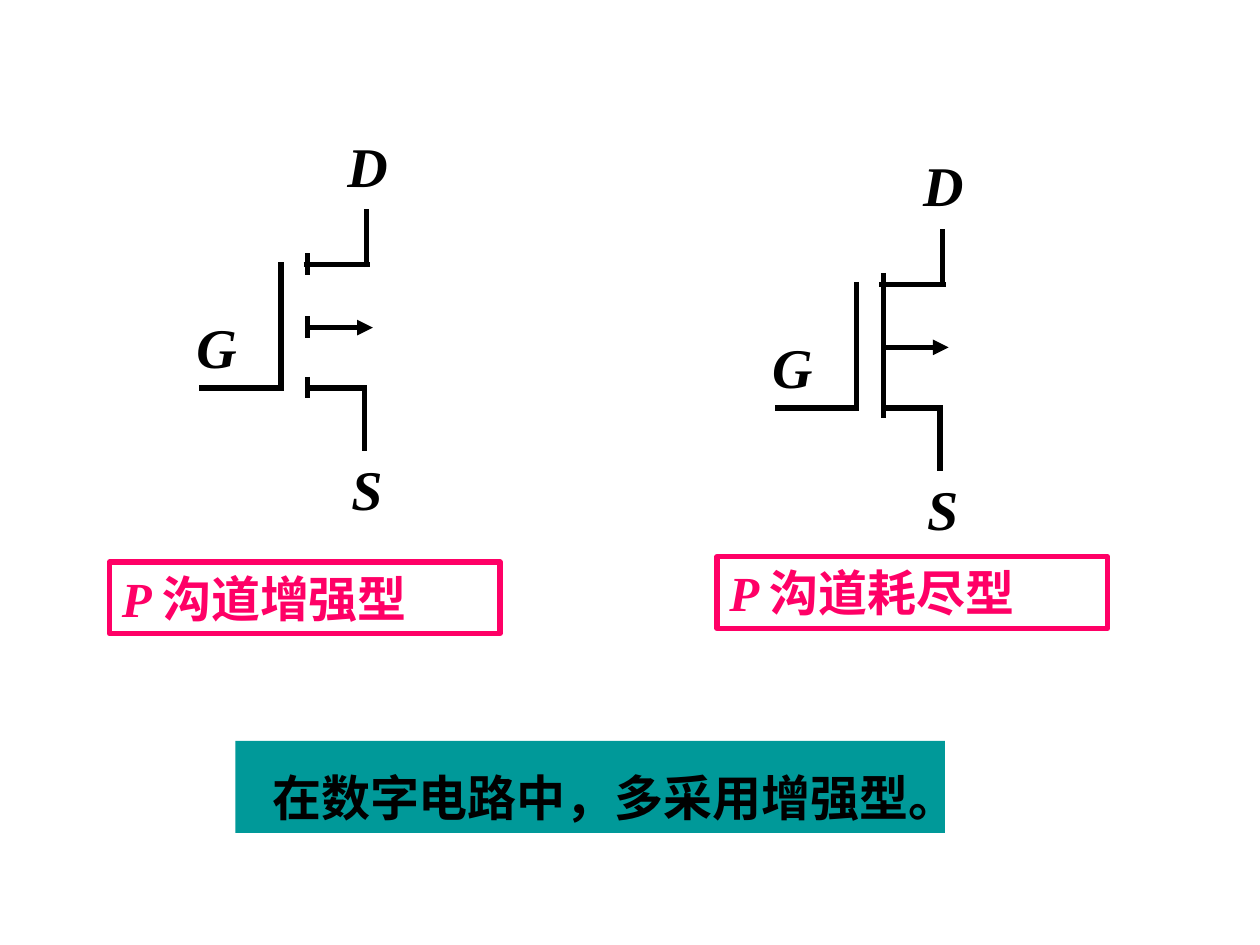
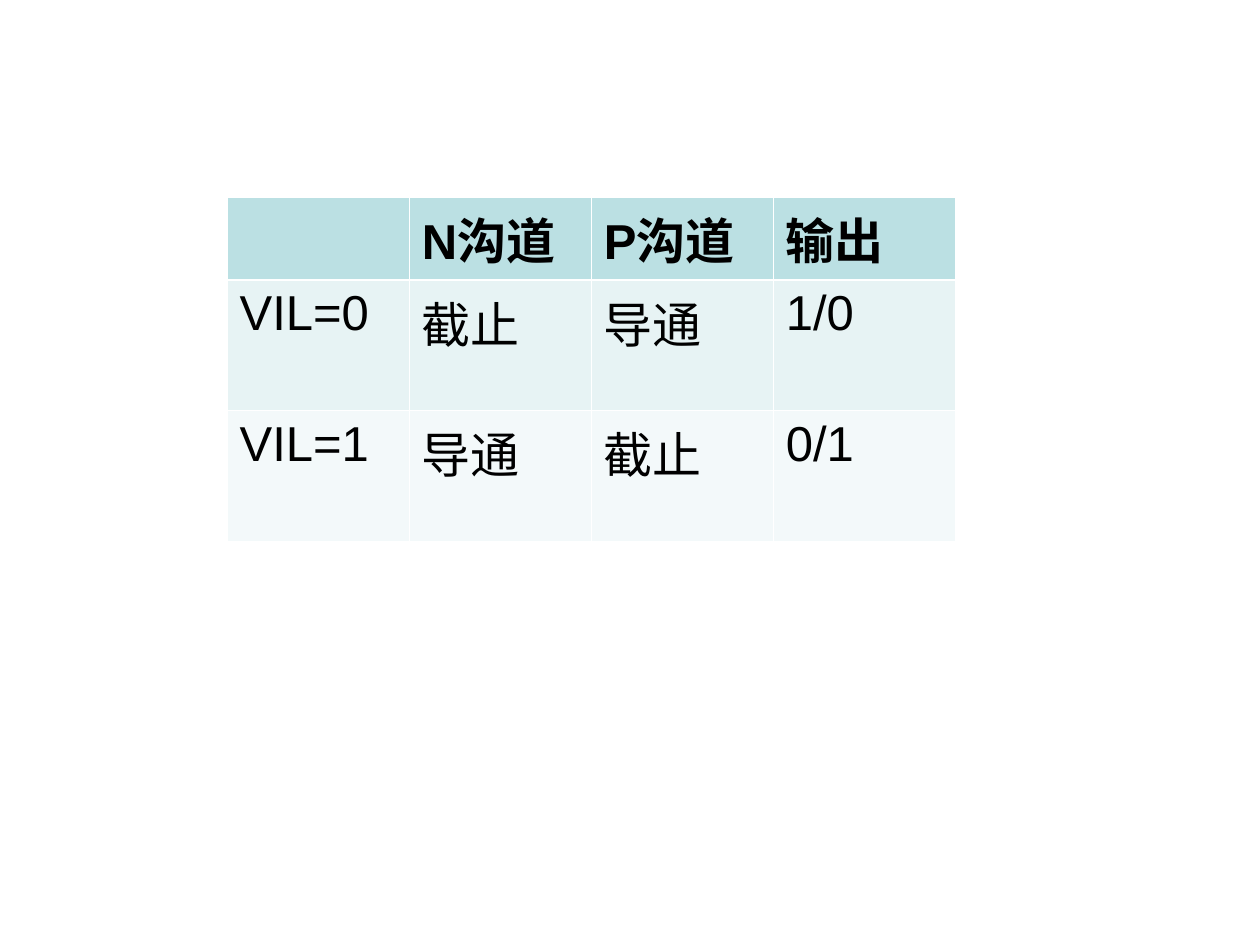
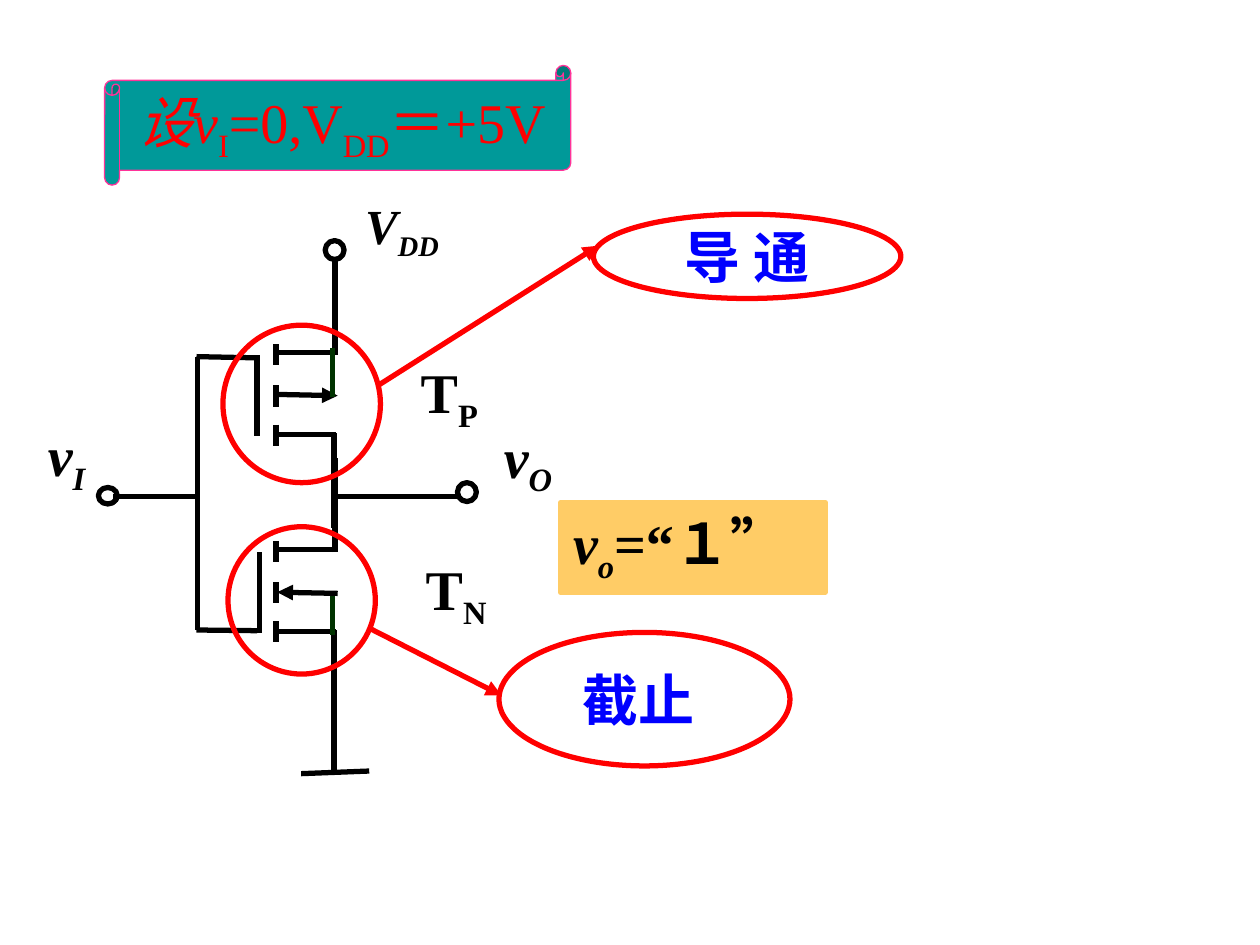
from pptx import Presentation
from pptx.dml.color import RGBColor
from pptx.enum.shapes import MSO_CONNECTOR, MSO_SHAPE
from pptx.enum.text import MSO_ANCHOR, MSO_AUTO_SIZE, PP_ALIGN
from pptx.oxml.ns import qn
from pptx.util import Pt
from lxml import etree

STRAIGHT = MSO_CONNECTOR.STRAIGHT
RECT, OVAL, SCROLL = MSO_SHAPE.RECTANGLE, MSO_SHAPE.OVAL, MSO_SHAPE.HORIZONTAL_SCROLL
LEFT, CENTER = PP_ALIGN.LEFT, PP_ALIGN.CENTER
TOP, MIDDLE = MSO_ANCHOR.TOP, MSO_ANCHOR.MIDDLE
GROW, FIXED = MSO_AUTO_SIZE.SHAPE_TO_FIT_TEXT, MSO_AUTO_SIZE.NONE

# Shared colours and text formats
BLACK, WHITE, RED, BLUE = "000000", "FFFFFF", "FF0000", "0000FF"
TEAL, PINK, SCROLL_EDGE, AMBER, GREEN = "009999", "FF0066", "FF3399", "FFCC66", "003300"
SERIF = {"name": "Times New Roman", "size": Pt(32), "bold": True, "color": BLACK}
SYMBOL = {**SERIF, "italic": True}
SMALL_SYMBOL = {**SYMBOL, "size": Pt(28)}
CAPTION = {**SMALL_SYMBOL, "color": PINK}
NOTE = {**SERIF, "size": Pt(28)}
STATE = {**SERIF, "color": BLUE}
CONDITION = {**SYMBOL, "bold": False, "color": RED}
CELL = {"name": "Arial", "size": Pt(28), "bold": False, "color": BLACK}
SUB = {"baseline": "-25000"}
UPRIGHT = {"italic": False}


def rgb(value):
    return RGBColor.from_string(value)


def add_runs(p, runs, fmt):
    for text, changes in runs:
        r = p.add_run()
        r.text = text
        for key, value in {**fmt, **changes}.items():
            if key == "color":
                r.font.color.rgb = rgb(value)
            elif key == "baseline":
                r._r.get_or_add_rPr().set(key, value)
            else:
                setattr(r.font, key, value)


def fill_text(sp, runs, fmt, align=LEFT, anchor=TOP, wrap=True, size=GROW, spacing=None):
    tf = sp.text_frame
    for key, value in {"word_wrap": wrap, "auto_size": size,
                       "vertical_anchor": anchor}.items():
        setattr(tf, key, value)
    p = tf.paragraphs[0]
    p.alignment = align
    p.line_spacing = spacing
    add_runs(p, runs, fmt)


def add_label(slide, box, runs, fmt):
    sp = slide.shapes.add_textbox(*map(Pt, box))
    fill_text(sp, runs, fmt)


def add_box(slide, kind, box, fill=None, line=None, width=3):
    sp = slide.shapes.add_shape(kind, *map(Pt, box))
    sp.shadow.inherit = False
    if fill:
        sp.fill.solid()
        sp.fill.fore_color.rgb = rgb(fill)
    else:
        sp.fill.background()
    if line:
        sp.line.color.rgb = rgb(line)
        sp.line.width = Pt(width)
    else:
        sp.line.fill.background()
    return sp


def add_line(slide, x1, y1, x2, y2, color=BLACK, arrow=False):
    sp = slide.shapes.add_connector(STRAIGHT, *map(Pt, (x1, y1, x2, y2)))
    sp.line.color.rgb = rgb(color)
    sp.line.width = Pt(3)
    if arrow:
        etree.SubElement(sp.line._get_or_add_ln(), qn("a:tailEnd"), type="triangle")
    etree.SubElement(sp._element.spPr, qn("a:effectLst"))


def add_lines(slide, segments, dx=0, dy=0):
    for x1, y1, x2, y2 in segments:
        add_line(slide, x1 + dx, y1 + dy, x2 + dx, y2 + dy)


def add_mos_symbol(slide, dx, dy, depletion):
    """P-channel symbol; a depletion type has an unbroken channel."""
    add_lines(slide, [
        (160.6, 149.8, 160.6, 221.8), (162, 221.8, 113.8, 221.8),    # gate
        (173.5, 151.2, 211.7, 151.2), (209.5, 152.6, 209.5, 119.5),  # drain
        (175.7, 221.8, 209.5, 221.8), (208.1, 220.3, 208.1, 257.8),  # source
    ] + [(175.7, y, 175.7, y + 12.3) for y in (144.7, 180.7, 215.3)], dx, dy)
    add_line(slide, 175.7 + dx, 187.2 + dy, 213.1 + dx, 187.2 + dy, arrow=True)
    if depletion:
        add_lines(slide, [(175.7, 148, 175.7, 221.8)], dx, dy)
    for name, x, y, w in (("G", 105.1, 175.1, 48.2), ("S", 193.7, 256.3, 49.7),
                          ("D", 191.5, 71.4, 55.4)):
        add_label(slide, (x + dx, y + dy, w, 46.1), [(name, {})], SYMBOL)


def add_transistor(slide, dy, gate_x, arrow, bulk):
    add_lines(slide, [
        (gate_x, 203, gate_x, 249.1),
        (158.4, 201.6, 192.2, 201.6), (191.5, 203, 191.5, 149),
        (158.4, 248.4, 192.2, 248.4), (190.8, 301.7, 190.8, 247.7),
    ] + [(157.7, y, 157.7, y + 12) for y in (196.6, 220.3, 242.6)], dy=dy)
    add_line(slide, *arrow, arrow=True)
    add_line(slide, 190.1, bulk[0], 190.1, bulk[1], GREEN)


def add_state(slide, circle, arrow, oval, text):
    """Ring round a transistor with an arrow to its state."""
    add_box(slide, OVAL, circle, line=RED)
    add_line(slide, *arrow, color=RED, arrow=True)
    sp = add_box(slide, OVAL, oval, line=RED)
    fill_text(sp, [(text, {})], STATE, CENTER, MIDDLE, False, FIXED)


def set_borders(cell, widths):
    tcPr = cell._tc.get_or_add_tcPr()
    for i, (side, width) in enumerate(widths.items()):
        ln = etree.Element(qn("a:ln" + side), w=str(Pt(width)))
        solid = etree.SubElement(ln, qn("a:solidFill"))
        etree.SubElement(solid, qn("a:srgbClr"), val=WHITE)
        tcPr.insert(i, ln)


def add_grid(slide, box, rows, widths, heights, fills):
    table = slide.shapes.add_table(len(rows), len(widths), *map(Pt, box)).table
    for col, width in zip(table.columns, widths):
        col.width = Pt(width)
    for i, texts in enumerate(rows):
        table.rows[i].height = Pt(heights[i])
        for j, text in enumerate(texts):
            cell = table.cell(i, j)
            cell.fill.solid()
            cell.fill.fore_color.rgb = rgb(fills[i])
            if text:
                add_runs(cell.text_frame.paragraphs[0], [(text, {"bold": i == 0})], CELL)
            set_borders(cell, {"L": 0.45, "R": 0.45, "T": 1.47 if i == 1 else 0.45,
                               "B": 1.47 if i == 0 else 0.45})


def build_symbols(slide):
    for dx, dy, depletion, caption, box in (
            (0, 0, False, "沟道增强型", (62.6, 321.1, 223.2, 41)),
            (329, 11.3, True, "沟道耗尽型", (409.7, 318.2, 223.2, 41))):
        add_mos_symbol(slide, dx, dy, depletion)
        sp = add_box(slide, RECT, box, line=PINK)
        fill_text(sp, [("P ", {}), (caption, UPRIGHT)], CAPTION)
    sp = add_box(slide, RECT, (134.6, 423.4, 405.4, 52.6), TEAL)
    fill_text(sp, [("在数字电路中，多采用增强型。", {})], NOTE, CENTER, wrap=False, spacing=1.35)


def build_truth_table(slide):
    rows = [("", "N沟道", "P沟道", "输出"),
            ("VIL=0", "截止", "导通", "1/0"),
            ("VIL=1", "导通", "截止", "0/1")]
    add_grid(slide, (129.8, 112.5, 416.2, 191), rows, [104.05] * 4,
             (42, 74.5, 74.5), ("BBE0E3", "E7F3F4", "F3F9FA"))


def build_inverter(slide):
    # Transistors
    add_transistor(slide, 0, 146.9, (158.4, 225.4, 193, 226.1), (226.8, 198.7))
    add_transistor(slide, 112.5, 148.3, (193, 339.1, 158.4, 338.4), (362.9, 340.6))

    # Wiring, ground and terminals
    add_lines(slide, [
        (112.3, 203.8, 146.9, 204.5), (112.3, 360, 146.9, 360.4),
        (113, 203.8, 113, 360), (64.8, 283.7, 113, 283.7),
        (189.4, 283.7, 262.8, 283.7),
        (190.8, 407.5, 190.8, 440.6), (172.1, 442.1, 211, 440.6),
    ])
    for x, y, h in ((56.2, 278.6, 9.4), (185.8, 137.5, 10.8), (261.4, 275.8, 10.8)):
        add_box(slide, OVAL, (x, y, 10.8, h), line=BLACK)

    # Labels
    for box, name, sub, fmt in (
            ((201.6, 108, 82.8, 45.4), "V", "DD", SMALL_SYMBOL),
            ((233.3, 200.9, 74.9, 51.1), "T", "P", SERIF),
            ((236.2, 313.2, 74.9, 51.1), "T", "N", SERIF),
            ((20.2, 236.9, 46.8, 51.1), "v", "I", SYMBOL),
            ((280.8, 237.6, 46.8, 51.1), "v", "O", SYMBOL)):
        add_label(slide, box, [(name, {}), (sub, SUB)], fmt)

    # Condition, states and result
    sp = add_box(slide, SCROLL, (59.8, 37.4, 266.4, 68.4), TEAL, SCROLL_EDGE, 0.75)
    fill_text(sp, [("设v", {}), ("I", {**UPRIGHT, **SUB}), ("=0,V", UPRIGHT),
                   ("DD", {**UPRIGHT, **SUB}), ("＝+5V", UPRIGHT)],
              CONDITION, CENTER, MIDDLE, False, FIXED)
    add_state(slide, (130.3, 301, 84.2, 84.2), (211.7, 359.3, 286.6, 397.4),
              (285.1, 361.4, 166.3, 76.3), "截止 ")
    sp = add_box(slide, RECT, (320.4, 287.3, 151.2, 51.1), AMBER, AMBER)
    fill_text(sp, [("v", {}), ("o", SUB), ("=“１”", UPRIGHT)], SYMBOL)
    add_state(slide, (127.4, 185.8, 90, 90), (216, 220.3, 342, 140.4),
              (339.1, 122.4, 175.7, 48.2), "导 通")


def main():
    prs = Presentation()
    prs.slide_width, prs.slide_height = Pt(720), Pt(540)
    for build in (build_symbols, build_truth_table, build_inverter):
        build(prs.slides.add_slide(prs.slide_layouts[6]))
    prs.save("out.pptx")


if __name__ == "__main__":
    main()
